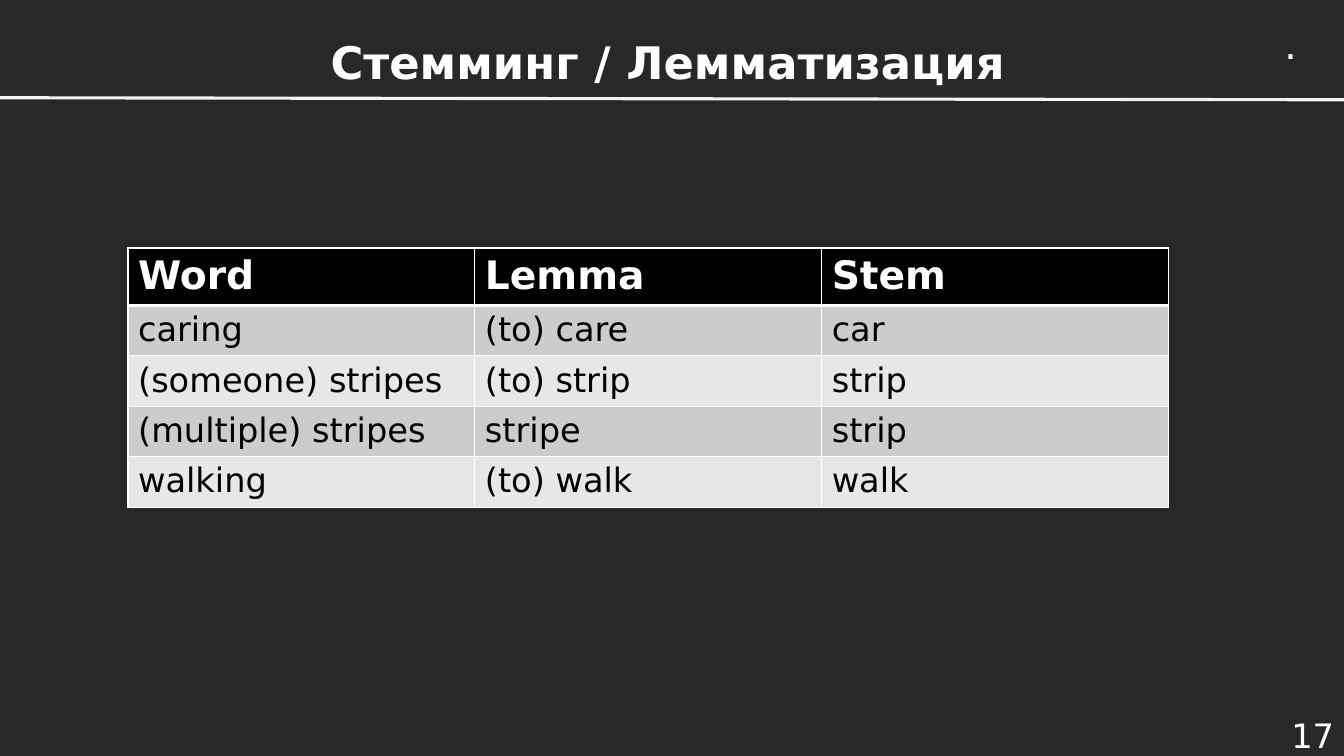
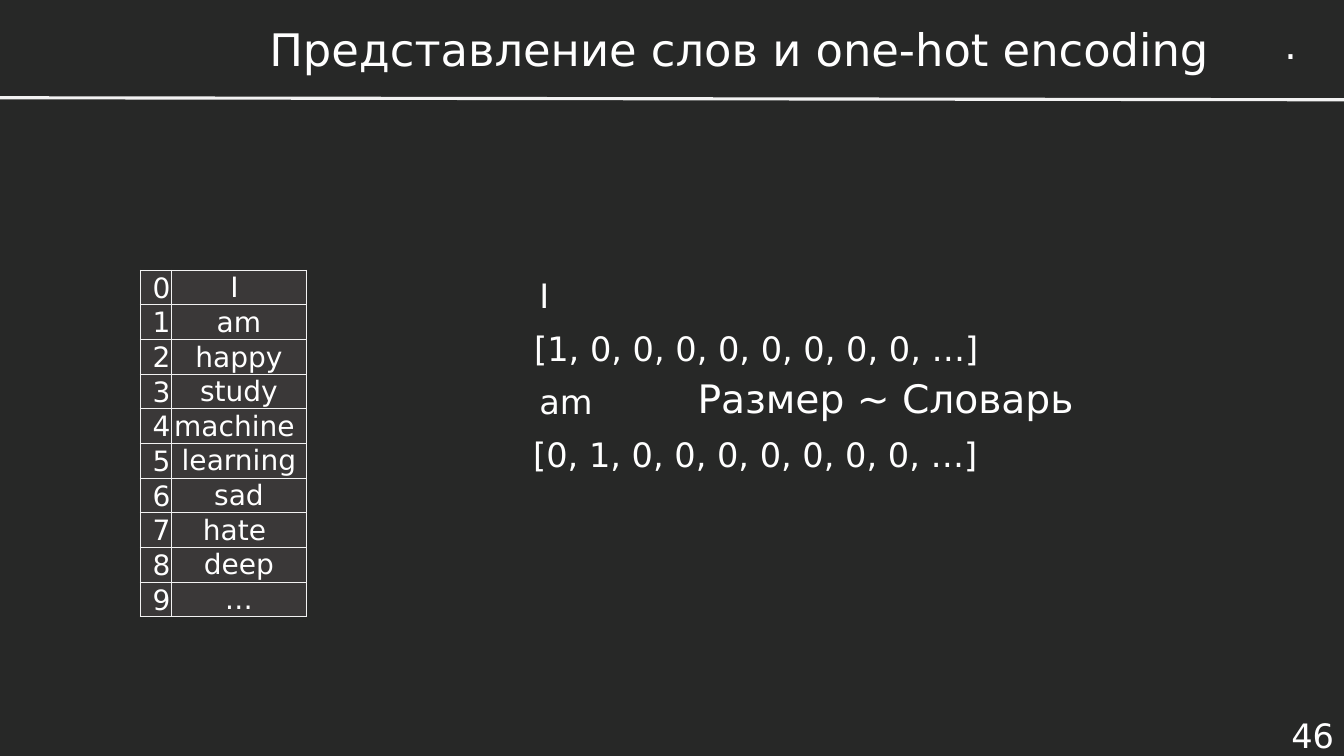
"""Build two dark slides on lemmas, stems and one-hot word vectors."""
from lxml.etree import SubElement as Sub
from pptx import Presentation
from pptx.dml.color import RGBColor
from pptx.enum.shapes import MSO_CONNECTOR as Link
from pptx.enum.text import MSO_ANCHOR as Anchor, PP_ALIGN as Align
from pptx.oxml import parse_xml
from pptx.oxml.ns import nsdecls, qn
from pptx.util import Inches, Pt

WIDE, HIGH = 13.33, 7.5
FONT = "DejaVu Sans"
BACK, WHITE, PALE, BLACK = "272827", "FFFFFF", "F2F2F2", "000000"
BANDS, CELL = ("E7E7E7", "CCCCCC"), "3A3838"

FORMS = [
    ("Word", "Lemma", "Stem"),
    ("caring", "(to) care", "car"),
    ("(someone) stripes", "(to) strip", "strip"),
    ("(multiple) stripes", "stripe", "strip"),
    ("walking", "(to) walk", "walk"),
]
WORDS = ["I ", "am", "happy", "study", "machine ", "learning", "sad", "hate ", "deep", "…"]
CODES = [
    ("I", 5.25),
    ("[1, 0, 0, 0, 0, 0, 0, 0, 0, …]", 5.2),
    ("am", 5.25),
    ("[0, 1, 0, 0, 0, 0, 0, 0, 0, …]", 5.19),
]
CODE_TOP, CODE_STEP = 2.68, 0.525


def tint(code):
    return RGBColor.from_string(code)


def write(frame, text, size=24, color=WHITE, bold=False, align=Align.LEFT):
    par = frame.paragraphs[0]
    par.alignment = align
    run = par.add_run()
    run.text = text
    font = run.font
    font.name, font.size, font.bold = FONT, Pt(size), bold
    font.color.rgb = tint(color)


def label(slide, text, box, anchor=Anchor.TOP, **look):
    frame = slide.shapes.add_textbox(*map(Inches, box)).text_frame
    frame.word_wrap = True
    frame.vertical_anchor = anchor
    write(frame, text, **look)


def edge(cell, color, **widths):
    props = cell._tc.get_or_add_tcPr()
    for spot, side in enumerate("LRTB"):
        line = parse_xml(
            f'<a:ln{side} {nsdecls("a")} w="{Pt(widths[side])}"><a:solidFill>'
            f'<a:srgbClr val="{color}"/></a:solidFill></a:ln{side}>')
        props.insert(spot, line)


def grid(slide, left, top, cols, rows):
    box = map(Inches, (left, top, sum(cols), sum(rows)))
    table = slide.shapes.add_table(len(rows), len(cols), *box).table
    for col, width in zip(table.columns, cols):
        col.width = Inches(width)
    for row, height in zip(table.rows, rows):
        row.height = Inches(height)
    return table


def paint(cell, color):
    cell.fill.solid()
    cell.fill.fore_color.rgb = tint(color)


def base(deck, title, box, number, **look):
    slide = deck.slides.add_slide(deck.slide_layouts[6])
    fill = slide.background.fill
    fill.solid()
    fill.fore_color.rgb = tint(BACK)
    label(slide, title, box, size=32, align=Align.CENTER, **look)
    label(slide, number, (WIDE - 1.05, HIGH - 0.42, 1.05, 0.42), Anchor.MIDDLE, align=Align.RIGHT)
    ends = map(Inches, (0, 0.97, WIDE, 0.99))
    rule = slide.shapes.add_connector(Link.STRAIGHT, *ends)
    rule.line.color.rgb = tint(PALE)
    rule.line.width = Pt(2.25)
    Sub(rule._element.spPr, qn("a:effectLst"))
    label(slide, ".", (12.64, 0.15, 0.34, 0.57), size=28)
    return slide


def stems(deck):
    slide = base(deck, "Стемминг / Лемматизация", (2.49, 0.3, 8.27, 0.64), "17", bold=True)
    table = grid(slide, 1.27, 2.46, [3.44] * 3, [0.57] + [0.5] * 4)
    for r, row in enumerate(FORMS):
        head = r == 0
        look = dict(size=28, bold=True) if head else dict(color=BLACK)
        for c, text in enumerate(row):
            cell = table.cell(r, c)
            paint(cell, BLACK if head else BANDS[r % 2])
            edge(cell, WHITE, L=1, R=1, T=3 if r == 1 else 1, B=3 if head else 1)
            write(cell.text_frame, text, **look)


def vectors(deck):
    slide = base(deck, "Представление слов и one-hot encoding", (2.49, 0.03, 9.69, 0.91), "46",
                 anchor=Anchor.MIDDLE)
    table = grid(slide, 1.39, 2.68, [0.31, 1.34], [0.342] * len(WORDS))
    places = (Align.RIGHT, Anchor.BOTTOM), (Align.CENTER, Anchor.MIDDLE)
    for r, word in enumerate(WORDS):
        for c, (align, anchor) in enumerate(places):
            cell = table.cell(r, c)
            paint(cell, CELL)
            edge(cell, PALE, L=0.5, R=0.5, T=0.5, B=0.5)
            cell.margin_left = cell.margin_right = cell.margin_top = Inches(0.01)
            cell.margin_bottom = 0
            cell.vertical_anchor = anchor
            write(cell.text_frame, (str(r), word)[c], size=20, align=align)
    for n, (text, left) in enumerate(CODES):
        label(slide, text, (left, CODE_TOP + n * CODE_STEP, 5.28, 0.5))
    label(slide, "Размер ~ Словарь", (6.82, 3.66, 4.06, 0.57), size=28)


def main():
    deck = Presentation()
    deck.slide_width, deck.slide_height = Inches(WIDE), Inches(HIGH)
    stems(deck)
    vectors(deck)
    deck.save("out.pptx")


if __name__ == "__main__":
    main()
